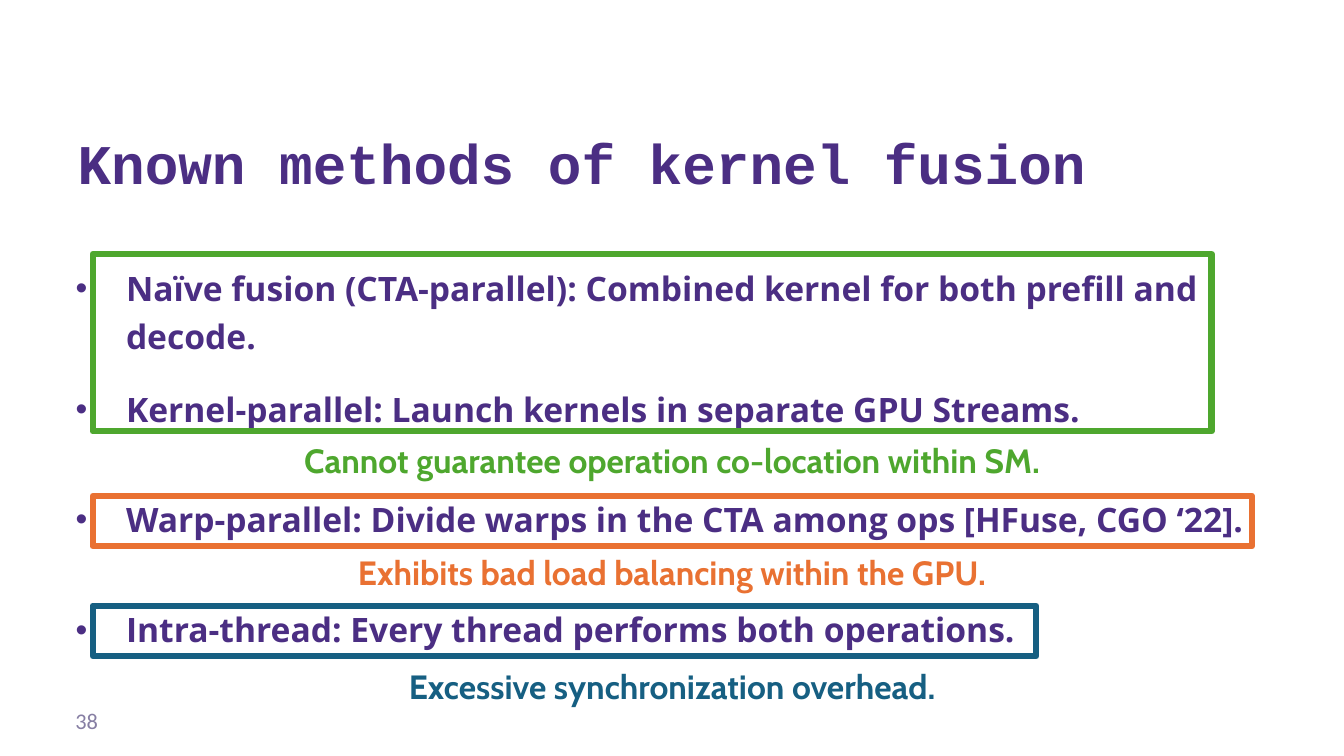
from lxml import etree
from pptx import Presentation
from pptx import util as u
from pptx.dml.color import RGBColor
from pptx.enum import shapes, text
from pptx.oxml.ns import qn

COLORS = {"purple": "4B2E83", "green": "4EA72E", "orange": "E97132",
          "blue": "165F82", "gray": "867EA3"}

# The slide is a grid of square cells, a tenth of an inch each
CELL = u.Inches(0.1)
COLUMNS, ROWS = 133.33, 75
FRAME_LEFT = 9.2
CAPTION_HEIGHT = 5

# Method and the space before it in points
METHODS = [
    ("Naïve fusion (CTA-parallel): Combined kernel for both prefill and decode.", 0),
    ("Kernel-parallel: Launch kernels in separate GPU Streams.", 17.8),
    ("Warp-parallel: Divide warps in the CTA among ops [HFuse, CGO ‘22].", 44.5),
    ("Intra-thread: Every thread performs both operations.", 44.5),
]

# Color, frame (top, width, height), drawback, caption (top, width)
DRAWBACKS = [
    ("green", (25.2, 111, 17.6),
     "Cannot guarantee operation co-location within SM.", (43.2, 79.5)),
    ("orange", (49.2, 115, 5),
     "Exhibits bad load balancing within the GPU.", (54.3, 68.2)),
    ("blue", (60.1, 93.6, 5),
     "Excessive synchronization overhead.", (65.6, 58.2)),
]


def cells(*counts):
    return [round(count * CELL) for count in counts]


def rgb(name):
    return RGBColor.from_string(COLORS[name])


def set_font(paragraph, name, size, color, bold=True):
    font = paragraph.font
    font.name, font.size, font.bold = name, u.Pt(size), bold
    font.color.rgb = rgb(color)


def place(shape, left, top, width, height):
    shape.left, shape.top, shape.width, shape.height = cells(left, top, width, height)


def fill_title(title, wording):
    place(title, 6.7, 5.4, 119.3, 14.5)
    frame = title.text_frame
    frame.text = wording
    frame.auto_size = text.MSO_AUTO_SIZE.NONE
    frame.vertical_anchor = text.MSO_ANCHOR.BOTTOM
    paragraph = frame.paragraphs[0]
    paragraph.alignment = text.PP_ALIGN.LEFT
    set_font(paragraph, "Courier New", 40, "purple")


def add_bullet(paragraph, indent):
    properties = paragraph._p.get_or_add_pPr()
    properties.set("marL", str(indent))
    properties.set("indent", str(-indent))
    etree.SubElement(properties, qn("a:buFont"), typeface="Arial")
    etree.SubElement(properties, qn("a:buChar"), char="•")


def fill_methods(body):
    place(body, 6.5, 25.2, 119.5, 34.5)
    frame = body.text_frame
    frame.text = "\n".join(wording for wording, _ in METHODS)
    frame.auto_size = text.MSO_AUTO_SIZE.NONE
    frame.vertical_anchor = text.MSO_ANCHOR.TOP
    frame.margin_top = u.Inches(0.06)
    for paragraph, (_, space) in zip(frame.paragraphs, METHODS):
        add_bullet(paragraph, 5 * CELL)
        paragraph.line_spacing = u.Pt(34.3)
        paragraph.space_before = u.Pt(space)
        set_font(paragraph, "Open Sans", 24, "purple")


def add_frame(slide, color, top, width, height):
    frame = slide.shapes.add_shape(shapes.MSO_SHAPE.RECTANGLE,
                                   *cells(FRAME_LEFT, top, width, height))
    frame.shadow.inherit = False
    frame.fill.background()
    frame.line.color.rgb = rgb(color)
    frame.line.width = u.Pt(4.5)


def add_caption(slide, wording, color, top, width):
    left = (COLUMNS - width) / 2
    box = slide.shapes.add_textbox(*cells(left, top, width, CAPTION_HEIGHT))
    frame = box.text_frame
    frame.text = wording
    frame.word_wrap = False
    frame.auto_size = text.MSO_AUTO_SIZE.SHAPE_TO_FIT_TEXT
    paragraph = frame.paragraphs[0]
    paragraph.alignment = text.PP_ALIGN.CENTER
    set_font(paragraph, "Cabin", 24, color)


def add_page_number(slide, number):
    box = slide.shapes.add_textbox(*cells(6.5, 69.5, 30, 4))
    frame = box.text_frame
    frame.text = number
    frame.word_wrap = True
    frame.vertical_anchor = text.MSO_ANCHOR.MIDDLE
    set_font(frame.paragraphs[0], "Calibri", 16, "gray", bold=False)


def main():
    presentation = Presentation()
    presentation.slide_width, presentation.slide_height = cells(COLUMNS, ROWS)
    slide = presentation.slides.add_slide(presentation.slide_layouts[1])

    # Title and list of methods
    fill_title(slide.shapes.title, "Known methods of kernel fusion")
    fill_methods(slide.placeholders[1])

    # Frames around the methods, each with its drawback below
    for color, frame, drawback, caption in DRAWBACKS:
        add_frame(slide, color, *frame)
        add_caption(slide, drawback, color, *caption)

    add_page_number(slide, "38")
    presentation.save("out.pptx")


if __name__ == "__main__":
    main()
